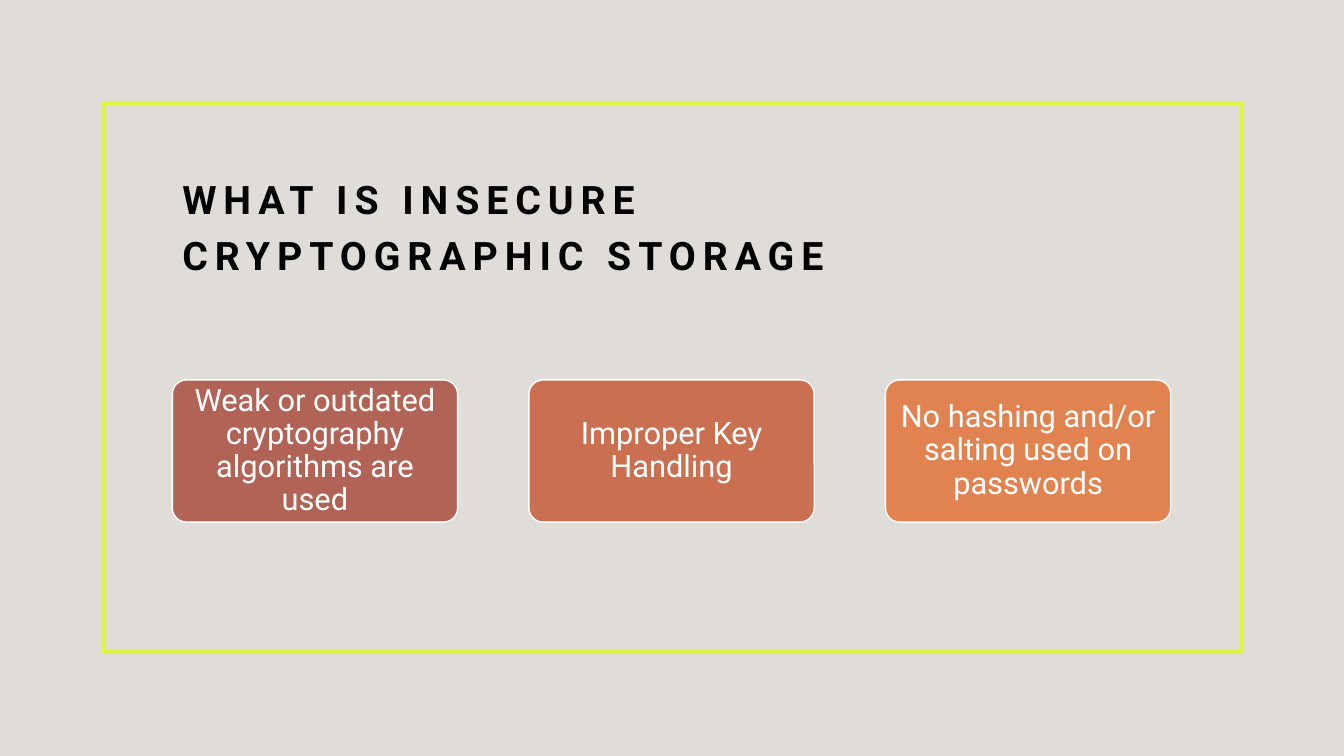
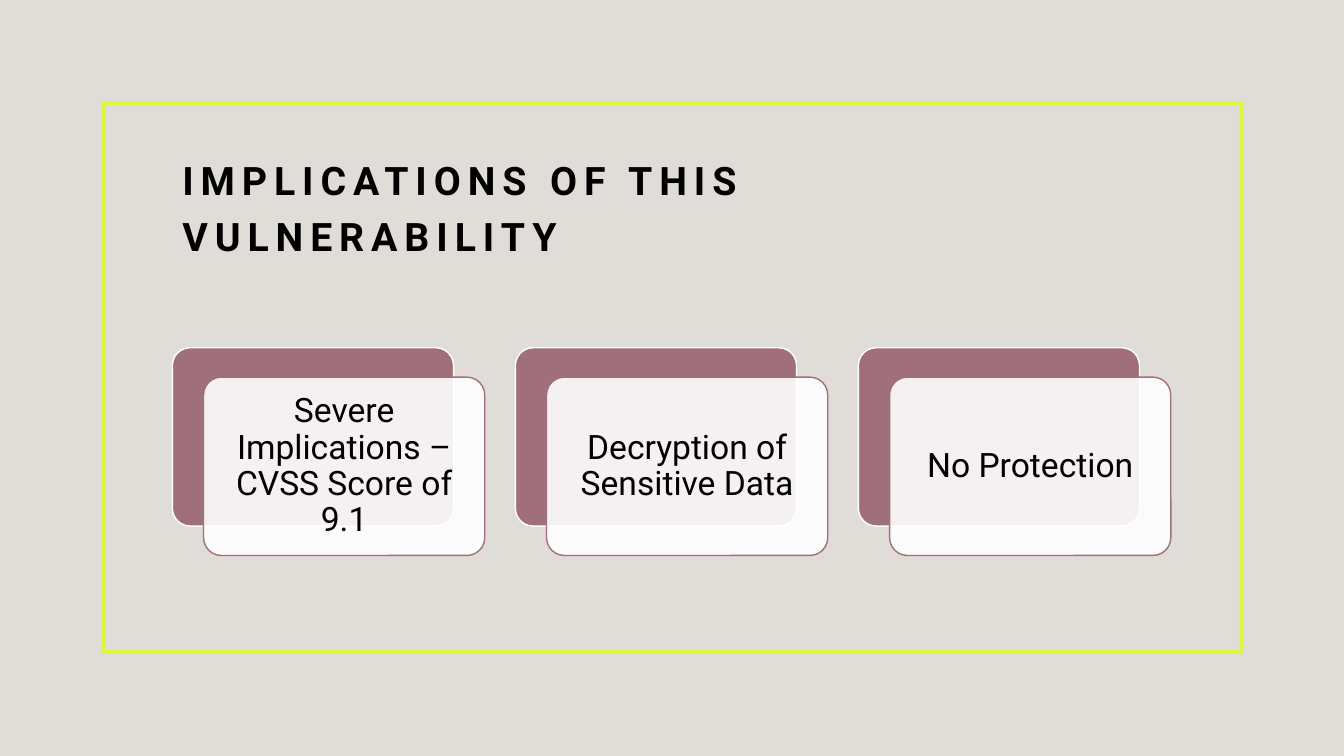
import pptx
import pptx.dml.color
import pptx.enum.shapes
import pptx.enum.text
import pptx.oxml.ns
import pptx.util
from lxml import etree

Pt = pptx.util.Pt
RGBColor = pptx.dml.color.RGBColor
Shape = pptx.enum.shapes.MSO_SHAPE
Align = pptx.enum.text.PP_ALIGN
Anchor = pptx.enum.text.MSO_ANCHOR

STONE = RGBColor(0xE0, 0xDD, 0xD8)
LIME = RGBColor(0xE0, 0xF5, 0x3D)
BLACK = RGBColor(0, 0, 0)
WHITE = RGBColor(0xFF, 0xFF, 0xFF)
BRICK = RGBColor(0xB1, 0x64, 0x55)
TERRACOTTA = RGBColor(0xCA, 0x70, 0x51)
ORANGE = RGBColor(0xE0, 0x83, 0x50)
MAUVE = RGBColor(0xA1, 0x6F, 0x7C)

FONT = "Roboto"
LEFT = 123.1
CONTENT_WIDTH = 713.2
CORNER = 0.1


def write(shape, text, size, color, line_spacing, margins):
    """Fill the shape with one vertically centred paragraph and return its run."""
    frame = shape.text_frame
    frame.word_wrap = True
    frame.vertical_anchor = Anchor.MIDDLE
    across, down = margins
    frame.margin_left = frame.margin_right = Pt(across)
    frame.margin_top = frame.margin_bottom = Pt(down)
    paragraph = frame.paragraphs[0]
    paragraph.line_spacing = line_spacing
    run = paragraph.add_run()
    run.text = text
    run.font.name = FONT
    run.font.size = Pt(size)
    run.font.color.rgb = color
    return run


def add_box(slide, kind, box, fill, line, line_width=1):
    shape = slide.shapes.add_shape(kind, *map(Pt, box))
    shape.shadow.inherit = False
    if fill is None:
        shape.fill.background()
    else:
        shape.fill.solid()
        shape.fill.fore_color.rgb = fill
    shape.line.color.rgb = line
    shape.line.width = Pt(line_width)
    return shape


def add_card(slide, box, fill, line):
    card = add_box(slide, Shape.ROUNDED_RECTANGLE, box, fill, line)
    card.adjustments[0] = CORNER
    return card


def write_card(card, text, size, color, margins):
    write(card, text, size, color, 0.9, margins)
    card.text_frame.paragraphs[0].alignment = Align.CENTER


def set_opacity(shape, percent):
    color = shape.fill._xPr.find(".//" + pptx.oxml.ns.qn("a:srgbClr"))
    alpha = etree.SubElement(color, pptx.oxml.ns.qn("a:alpha"))
    alpha.set("val", str(percent * 1000))


def spread(count, width):
    """Left edges of equally spaced items that span the content width."""
    step = (CONTENT_WIDTH - width) / (count - 1)
    return [LEFT + i * step for i in range(count)]


def add_framed_slide(prs, title, title_top):
    slide = prs.slides.add_slide(prs.slide_layouts[6])
    add_box(slide, Shape.RECTANGLE, (74.2, 73.4, 812.2, 392.4), None, LIME, 3)
    heading = slide.shapes.add_textbox(*map(Pt, (LEFT, title_top, 600, 88.6)))
    run = write(heading, title, 28, BLACK, 1.2, (7.2, 3.6))
    run.font.bold = True
    run._r.get_or_add_rPr().set("spc", "500")
    return slide


def add_plain_cards(slide, cards):
    width, height = 203.8, 101.6
    for left, (text, fill) in zip(spread(len(cards), width), cards):
        card = add_card(slide, (left, 271.4, width, height), fill, WHITE)
        write_card(card, text, 22, WHITE, (3.6, 2.4))


def add_layered_cards(slide, texts):
    width, height, top = 200.9, 127.4, 248.4
    shift_x, shift_y = 22.3, 21
    for left, text in zip(spread(len(texts), width + shift_x), texts):
        add_card(slide, (left, top, width, height), MAUVE, WHITE)
        front = add_card(slide, (left + shift_x, top + shift_y, width, height),
                         WHITE, MAUVE)
        set_opacity(front, 90)
        write_card(front, text, 24, BLACK, (7.2, 7.2))


def main():
    prs = pptx.Presentation()
    prs.slide_width, prs.slide_height = Pt(960), Pt(540)
    background = prs.slide_master.background.fill
    background.solid()
    background.fore_color.rgb = STONE

    definition = add_framed_slide(
        prs, "WHAT IS INSECURE CRYPTOGRAPHIC STORAGE", 114.5)
    add_plain_cards(definition, [
        ("Weak or outdated cryptography algorithms are used", BRICK),
        ("Improper Key Handling", TERRACOTTA),
        ("No hashing and/or salting used on passwords", ORANGE),
    ])

    implications = add_framed_slide(
        prs, "IMPLICATIONS OF THIS VULNERABILITY", 100.8)
    add_layered_cards(implications, [
        "Severe Implications – CVSS Score of 9.1",
        "Decryption of Sensitive Data",
        "No Protection",
    ])
    prs.save("out.pptx")


if __name__ == "__main__":
    main()
